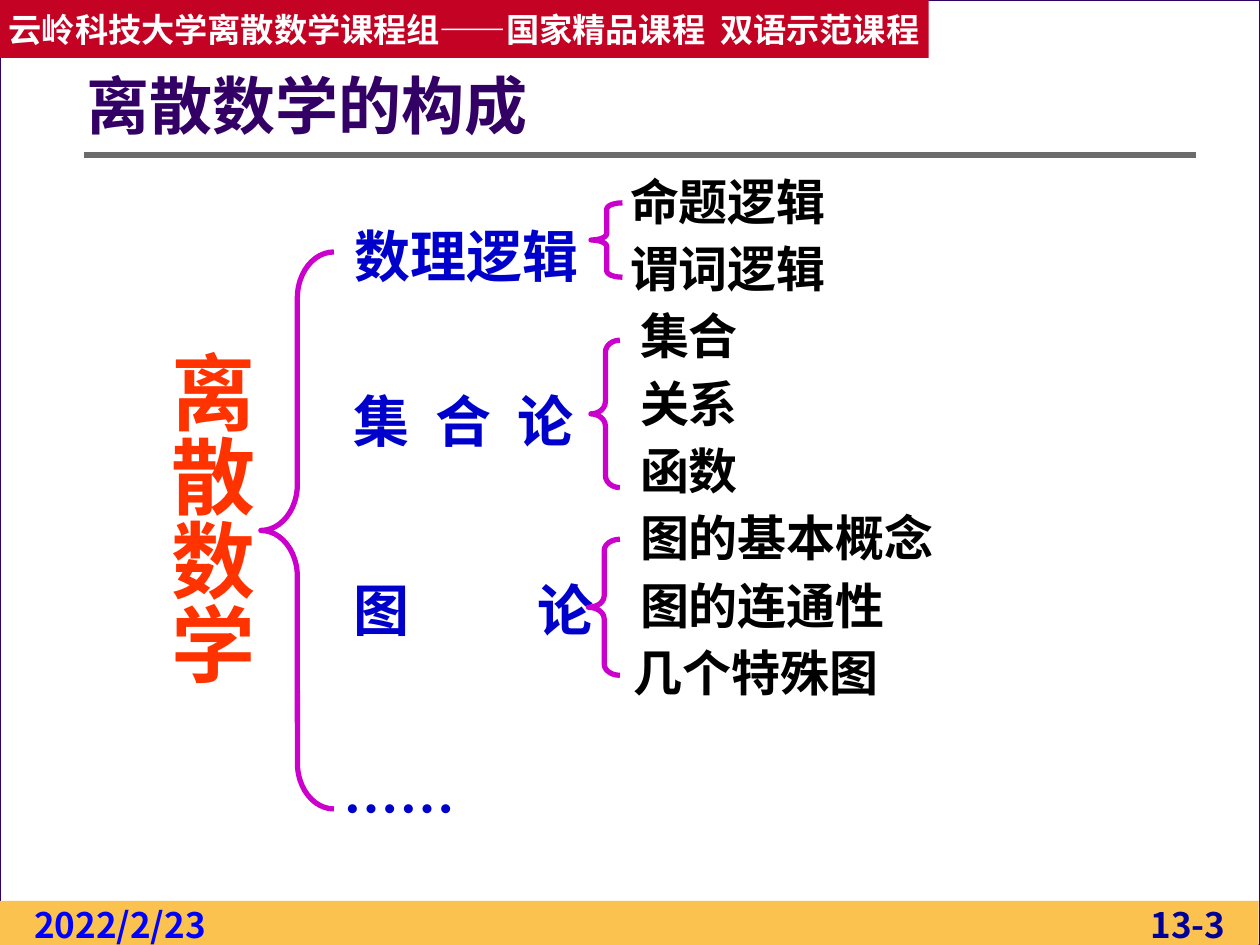
from lxml import etree
from pptx import Presentation
from pptx.dml.color import RGBColor
from pptx.enum.shapes import MSO_CONNECTOR, MSO_SHAPE
from pptx.enum.text import MSO_ANCHOR, MSO_AUTO_SIZE, PP_ALIGN
from pptx.oxml.ns import qn
from pptx.util import Emu, Inches, Pt

RECT, BRACE = MSO_SHAPE.RECTANGLE, MSO_SHAPE.LEFT_BRACE
STRAIGHT = MSO_CONNECTOR.STRAIGHT
TOP, MIDDLE = MSO_ANCHOR.TOP, MSO_ANCHOR.MIDDLE
LEFT, CENTER, JUSTIFY = PP_ALIGN.LEFT, PP_ALIGN.CENTER, PP_ALIGN.JUSTIFY
GROW, NO_FIT = MSO_AUTO_SIZE.SHAPE_TO_FIT_TEXT, MSO_AUTO_SIZE.NONE

WHITE = RGBColor(0xFF, 0xFF, 0xFF)
BLACK = RGBColor(0, 0, 0)
BACKDROP = RGBColor(0xD8, 0xDA, 0xDA)
INDIGO = RGBColor(0x33, 0x00, 0x66)
AMBER = RGBColor(0xFC, 0xC2, 0x4F)
CRIMSON = RGBColor(0xC3, 0x02, 0x24)
GRAY = RGBColor(0x6B, 0x6B, 0x6B)
MAGENTA = RGBColor(0xCC, 0x00, 0xCC)
ORANGE = RGBColor(0xFF, 0x33, 0x00)
BRANCH_BLUE = RGBColor(0x00, 0x00, 0xCC)
DATE_BLUE = RGBColor(0x00, 0x00, 0xFF)
NUMBER_BLUE = RGBColor(0x00, 0x00, 0x99)

CJK, NARROW = "Noto Sans CJK SC", "Arial Narrow"
COLS, ROWS = 100, 75
WIDTH, HEIGHT = Inches(10), Inches(7.5)
DEFAULT_INSETS = (0.1, 0.05, 0.1, 0.05)
NO_INSETS = (0, 0, 0, 0)
FOOTER_INSETS = (0.04, 0, 0.04, 0)

# Topics share one row pitch: text, column, width in columns
TOPIC_TOP, TOPIC_PITCH, TOPIC_HEIGHT = 13.6, 5.34, 4.7
TOPICS = [
    ("命题逻辑", 50, 22.5), ("谓词逻辑", 50, 22.5),
    ("集合", 50.8, 10), ("关系", 50.8, 9.2), ("函数", 50.8, 10),
    ("图的基本概念", 50.8, 27.5), ("图的连通性", 50.8, 22.5),
    ("几个特殊图", 50.3, 23.3),
]
# Branch labels: text, font, box in grid units, tab stops in inches
BRANCHES = [
    ("集\t合\t论", NARROW, (27.1, 30.2, 21.1, 6.3), (0.65, 1.3)),
    ("图\t论", NARROW, (27.1, 45.2, 22, 6.3), (1.46,)),
    ("……", CJK, (26.3, 61, 24.8, 6.3), ()),
]
# Braces: box in grid units, curvature
BRACES = [
    ((20.7, 20, 5.8, 44.2), 0.63),
    ((46.9, 16.1, 2.5, 5.9), 0.2),
    ((46.9, 27, 2.3, 11.7), 0.42),
    ((46.7, 42.8, 2.5, 10.8), 0.36),
]


def grid(col, row, cols, rows):
    return (Emu(int(WIDTH * col / COLS)), Emu(int(HEIGHT * row / ROWS)),
            Emu(int(WIDTH * cols / COLS)), Emu(int(HEIGHT * rows / ROWS)))


def write(sp, text, size, color, font=CJK, align=LEFT, anchor=TOP,
          insets=DEFAULT_INSETS, spacing=None, fit=GROW, wrap=True):
    tf = sp.text_frame
    tf.word_wrap, tf.auto_size, tf.vertical_anchor = wrap, fit, anchor
    (tf.margin_left, tf.margin_top,
     tf.margin_right, tf.margin_bottom) = map(Inches, insets)
    p = tf.paragraphs[0]
    p.alignment = align
    if spacing:
        p.line_spacing = spacing
    r = p.add_run()
    r.text = text
    r.font.size, r.font.bold, r.font.name = Pt(size), True, font
    r.font.color.rgb = color
    etree.SubElement(r.font._element, qn("a:ea"), typeface=CJK)
    return p


def add_text(s, box, text, size, color, **style):
    sp = s.shapes.add_textbox(*grid(*box))
    return sp, write(sp, text, size, color, **style)


def add_block(s, box, fill, line=None):
    sp = s.shapes.add_shape(RECT, *grid(*box))
    sp.shadow.inherit = False
    sp.fill.solid()
    sp.fill.fore_color.rgb = fill
    if line is None:
        sp.line.fill.background()
    else:
        sp.line.color.rgb = line
        sp.line.width = Pt(0.75)
    return sp


def add_brace(s, box, curve):
    sp = s.shapes.add_shape(BRACE, *grid(*box))
    sp.shadow.inherit = False
    sp.adjustments[0], sp.adjustments[1] = curve, 0.5
    sp.fill.background()
    sp.line.color.rgb = MAGENTA
    sp.line.width = Pt(3)


def add_rule(s, col, row, cols):
    x, y, w, _ = grid(col, row, cols, 0)
    line = s.shapes.add_connector(STRAIGHT, x, y, x + w, y)
    line.line.color.rgb = GRAY
    line.line.width = Pt(3)
    etree.SubElement(line.element.spPr, qn("a:effectLst"))


def place(sp, box):
    """Position a placeholder and bring it in front of the frame."""
    sp.left, sp.top, sp.width, sp.height = grid(*box)
    sp.element.getparent().append(sp.element)


def add_tabs(p, stops):
    tabs = etree.SubElement(p._p.get_or_add_pPr(), qn("a:tabLst"))
    for stop in stops:
        etree.SubElement(tabs, qn("a:tab"), pos=str(Inches(stop)), algn="l")


def add_frame(s):
    add_block(s, (0, 0, 100, 75), WHITE, INDIGO)
    add_block(s, (0, 71.5, 99.9, 3.6), AMBER)
    add_text(s, (89.4, 71.7, 9.8, 3.3), "13-3", 20, NUMBER_BLUE,
             align=CENTER, insets=FOOTER_INSETS)
    add_rule(s, 6.7, 12.3, 88.2)
    banner = add_block(s, (0, 0, 73.7, 4.6), CRIMSON)
    write(banner, "云岭科技大学离散数学课程组——国家精品课程  双语示范课程", 19, WHITE,
          align=CENTER, anchor=MIDDLE, insets=(0.04, 0.05, 0.04, 0.05),
          fit=NO_FIT, wrap=False)
    add_text(s, (2.3, 71.7, 16.5, 3.3), "2022/2/23", 20, DATE_BLUE,
             insets=FOOTER_INSETS)


def add_placeholders(s):
    title, body = s.shapes.title, s.placeholders[1]
    place(title, (6.9, 4.7, 82.7, 7.9))
    write(title, "离散数学的构成", 36, INDIGO, anchor=MIDDLE,
          insets=(0, 0.05, 0.1, 0.05), spacing=0.9, fit=NO_FIT)
    place(body, (27.1, 16, 24, 7.4))
    p = write(body, "数理逻辑", 32, BRANCH_BLUE, align=JUSTIFY, spacing=1.2)
    pPr = p._p.get_or_add_pPr()
    pPr.set("marL", "0")
    pPr.set("indent", "0")
    etree.SubElement(pPr, qn("a:buNone"))


def add_tree(s):
    # Root, written vertically
    root, _ = add_text(s, (12.6, 27.8, 7.2, 30.4), "离散数学", 48, ORANGE,
                       align=JUSTIFY, insets=NO_INSETS, spacing=0.9)
    root.text_frame._txBody.bodyPr.set("vert", "eaVert")
    # Branches
    for text, font, box, stops in BRANCHES:
        _, p = add_text(s, box, text, 32, BRANCH_BLUE, font=font)
        if stops:
            add_tabs(p, stops)
    # Topics
    for i, (text, col, cols) in enumerate(TOPICS):
        box = (col, TOPIC_TOP + i * TOPIC_PITCH, cols, TOPIC_HEIGHT)
        add_text(s, box, text, 28, BLACK, font=NARROW, insets=NO_INSETS)
    for box, curve in BRACES:
        add_brace(s, box, curve)


def main():
    prs = Presentation()
    prs.slide_width, prs.slide_height = WIDTH, HEIGHT
    s = prs.slides.add_slide(prs.slide_layouts[1])
    s.background.fill.solid()
    s.background.fill.fore_color.rgb = BACKDROP
    add_frame(s)
    add_placeholders(s)
    add_tree(s)
    prs.save("out.pptx")


if __name__ == "__main__":
    main()
